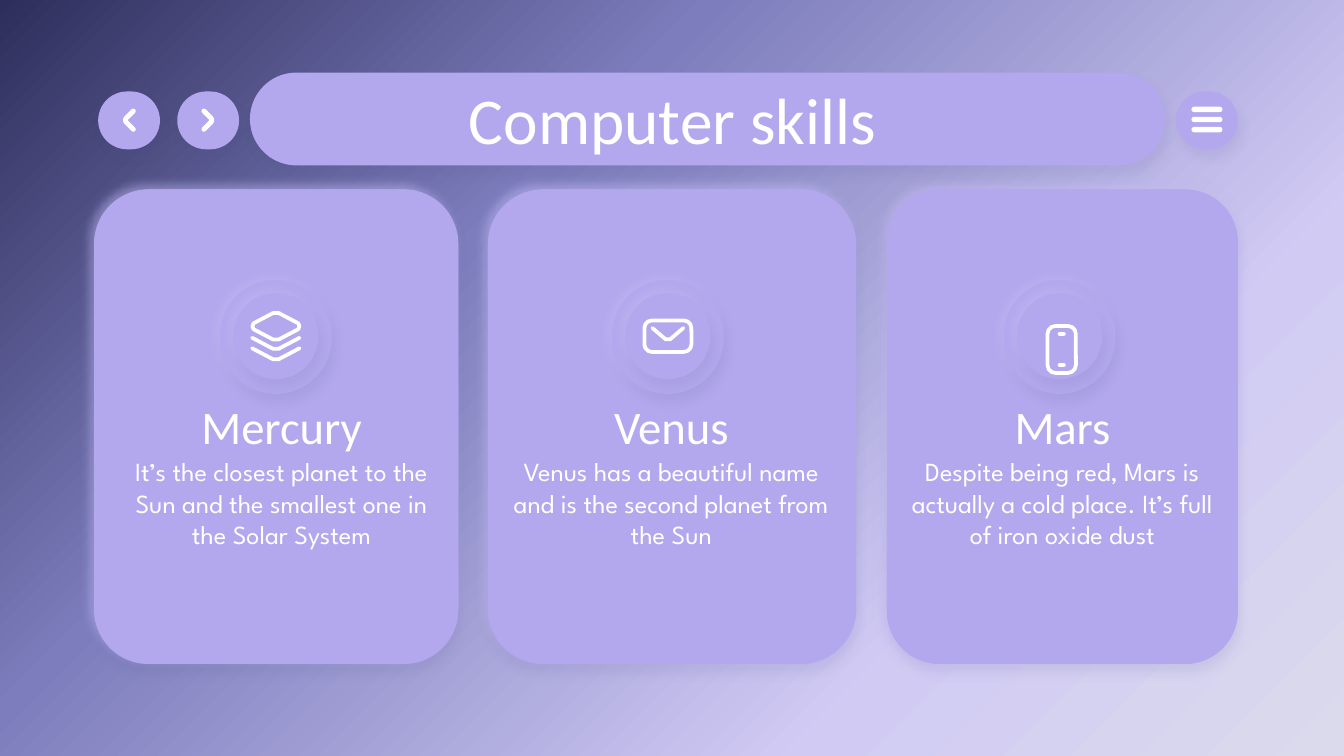
from dataclasses import dataclass

from lxml import etree
from pptx import Presentation
from pptx import util as u
from pptx.dml.color import RGBColor
from pptx.enum import shapes, text
from pptx.oxml import ns
from pptx.shapes.autoshape import Shape
from pptx.slide import Slide

LILAC = RGBColor(0xB3, 0xA8, 0xED)
WHITE = RGBColor(0xFF, 0xFF, 0xFF)
GLOW_COLOR = RGBColor(0xC4, 0xBB, 0xF5)
SHADE_COLOR = RGBColor(0x3E, 0x3E, 0x7A)
BACKDROP = (
    (0, RGBColor(0x2E, 0x2E, 0x5C)),
    (34, RGBColor(0x7D, 0x7D, 0xBD)),
    (74, RGBColor(0xD1, 0xCB, 0xF4)),
    (100, RGBColor(0xDA, 0xDA, 0xEC)),
)
HEADING_FONT = "Calibri"
BODY_FONT = "League Spartan"


@dataclass(frozen=True)
class Box:
    left: float
    top: float
    width: float
    height: float

    def lengths(self) -> tuple[u.Pt, ...]:
        return tuple(u.Pt(v) for v in (self.left, self.top, self.width, self.height))


@dataclass(frozen=True)
class Shadow:
    color: RGBColor
    opacity: int
    distance: float
    angle: int
    blur: float = 5.6


@dataclass(frozen=True)
class Planet:
    name: str
    description: str
    card_left: float
    card_width: float
    text_left: float
    knob_x: float


GLOW = Shadow(GLOW_COLOR, 52, 3, 226)
CARD_SHADE = Shadow(SHADE_COLOR, 8, 5.2, 84)
SHADE = Shadow(SHADE_COLOR, 8, 5.2, 66)

PLANETS = (
    Planet("Mercury", "It’s the closest planet to the Sun and the smallest one in the Solar System",
           50.4, 195.1, 56.9, 147.8),
    Planet("Venus", "Venus has a beautiful name and is the second planet from the Sun",
           261.4, 197.3, 265.7, 357.8),
    Planet("Mars", "Despite being red, Mars is actually a cold place. It’s full of iron oxide dust",
           475.2, 187.9, 475.2, 567.7),
)


def color_node(parent: etree._Element, color: RGBColor) -> etree._Element:
    return etree.SubElement(parent, ns.qn("a:srgbClr"), val=str(color))


def paint_backdrop(slide: Slide) -> None:
    fill = slide.background.fill
    fill.gradient()
    fill.gradient_angle = 315
    stops = slide.element.find(".//" + ns.qn("a:gsLst"))
    for stop in list(stops):
        stops.remove(stop)
    for position, color in BACKDROP:
        stop = etree.SubElement(stops, ns.qn("a:gs"), pos=str(position * 1000))
        color_node(stop, color)


def cast_shadow(shape: Shape, shadow: Shadow) -> None:
    effects = shape.element.find(".//" + ns.qn("a:effectLst"))
    outer = etree.SubElement(
        effects, ns.qn("a:outerShdw"), blurRad=str(u.Pt(shadow.blur)),
        dist=str(u.Pt(shadow.distance)), dir=str(shadow.angle * 60000),
        algn="bl", rotWithShape="0")
    alpha = color_node(outer, shadow.color)
    etree.SubElement(alpha, ns.qn("a:alpha"), val=str(shadow.opacity * 1000))


def add_pill(slide: Slide, box: Box, color: RGBColor = LILAC, corner: float = 0.5,
             shadow: Shadow | None = None) -> Shape:
    pill = slide.shapes.add_shape(shapes.MSO_SHAPE.ROUNDED_RECTANGLE, *box.lengths())
    pill.adjustments[0] = corner
    pill.fill.solid()
    pill.fill.fore_color.rgb = color
    pill.line.fill.background()
    pill.shadow.inherit = False
    if shadow:
        cast_shadow(pill, shadow)
    return pill


def outline(shape: Shape, width: float) -> None:
    shape.fill.background()
    shape.line.color.rgb = WHITE
    shape.line.width = u.Pt(width)
    shape.shadow.inherit = False


def add_stroke(slide: Slide, x: float, y: float, points: list[tuple[float, float]],
               close: bool = False, width: float = 2) -> None:
    vertices = [(u.Pt(x + dx), u.Pt(y + dy)) for dx, dy in points]
    builder = slide.shapes.build_freeform(*vertices[0], scale=1.0)
    builder.add_line_segments(vertices[1:], close=close)
    stroke = builder.convert_to_shape()
    outline(stroke, width)
    line = stroke.element.find(".//" + ns.qn("a:ln"))
    line.set("cap", "rnd")
    etree.SubElement(line, ns.qn("a:round"))


def add_text(slide: Slide, box: Box, words: str, size: float, font: str) -> None:
    frame = slide.shapes.add_textbox(*box.lengths()).text_frame
    frame.word_wrap = True
    frame.vertical_anchor = text.MSO_ANCHOR.TOP
    frame.margin_left = frame.margin_right = u.Pt(7.2)
    frame.margin_top = frame.margin_bottom = u.Pt(7.2)
    paragraph = frame.paragraphs[0]
    paragraph.alignment = text.PP_ALIGN.CENTER
    run = paragraph.add_run()
    run.text = words
    run.font.name = font
    run.font.size = u.Pt(size)
    run.font.color.rgb = WHITE


def add_card(slide: Slide, planet: Planet) -> None:
    box = Box(planet.card_left, 101.5, planet.card_width, 254.2)
    add_pill(slide, box, corner=0.153, shadow=GLOW)
    add_pill(slide, box, corner=0.149, shadow=CARD_SHADE)


def add_knob(slide: Slide, x: float) -> None:
    for size, top, rise in ((59.8, 151.2, 1.4), (45.4, 157.7, 0.7)):
        left = x - size / 2
        add_pill(slide, Box(left, top, size, size), shadow=GLOW)
        add_pill(slide, Box(left, top - rise, size, size + rise), shadow=SHADE)


def add_nav_button(slide: Slide, left: float, direction: int) -> None:
    add_pill(slide, Box(left, 49, 33.1, 31), shadow=SHADE)
    arrow = [(-2.3, -4.9), (1.6, -1), (2, 0), (1.6, 1), (-2.3, 4.9)]
    add_stroke(slide, left + 16.55, 64.4, [(direction * dx, dy) for dx, dy in arrow], width=2.6)


def add_header(slide: Slide) -> None:
    add_pill(slide, Box(133.9, 38.9, 490.3, 49.7), shadow=SHADE)
    add_pill(slide, Box(630, 49, 33.1, 31), shadow=SHADE)
    for row in range(3):
        add_pill(slide, Box(638.3, 57.2 + row * 5.4, 16.6, 2.9), WHITE)
    add_nav_button(slide, 95, 1)
    add_nav_button(slide, 52.6, -1)
    add_text(slide, Box(56.9, 35.3, 607, 45.4), "Computer skills", 35, HEADING_FONT)


def add_layers_icon(slide: Slide, x: float) -> None:
    sheet = [(-1.5, -7.1), (1.5, -7.1), (12, -1.6), (12.6, 0), (12, 1.6),
             (1.5, 7.1), (-1.5, 7.1), (-12, 1.6), (-12.6, 0), (-12, -1.6)]
    add_stroke(slide, x, 174.8, sheet, close=True)
    for y in (181, 186.6):
        add_stroke(slide, x, y, [(-12.7, 0), (-1.5, 5.9), (1.5, 5.9), (12.7, 0)])


def add_envelope_icon(slide: Slide, x: float) -> None:
    outline(add_pill(slide, Box(x - 12.6, 171.7, 25.2, 16.9), corner=0.24), 2)
    add_stroke(slide, x, 175.7, [(-8.3, 0), (-1.2, 6.1), (1.2, 6.1), (8.3, 0)])


def add_phone_icon(slide: Slide, x: float) -> None:
    outline(add_pill(slide, Box(x - 6.5, 174.6, 15.2, 25.2), corner=0.28), 2)
    for top in (177.9, 194.5):
        add_pill(slide, Box(x - 1.05, top, 4.3, 2), WHITE)


def main() -> None:
    deck = Presentation()
    deck.slide_width, deck.slide_height = u.Pt(720), u.Pt(405)
    slide = deck.slides.add_slide(deck.slide_layouts[6])
    paint_backdrop(slide)
    for planet in PLANETS:
        add_card(slide, planet)
    add_header(slide)
    icons = (add_layers_icon, add_envelope_icon, add_phone_icon)
    for planet, add_icon in zip(PLANETS, icons):
        add_knob(slide, planet.knob_x)
        add_icon(slide, planet.knob_x)
        add_text(slide, Box(planet.text_left, 205.9, 187.9, 41.8), planet.name, 25, HEADING_FONT)
        add_text(slide, Box(planet.text_left, 236.9, 187.9, 68.4), planet.description, 14, BODY_FONT)
    deck.save("out.pptx")


if __name__ == "__main__":
    main()
